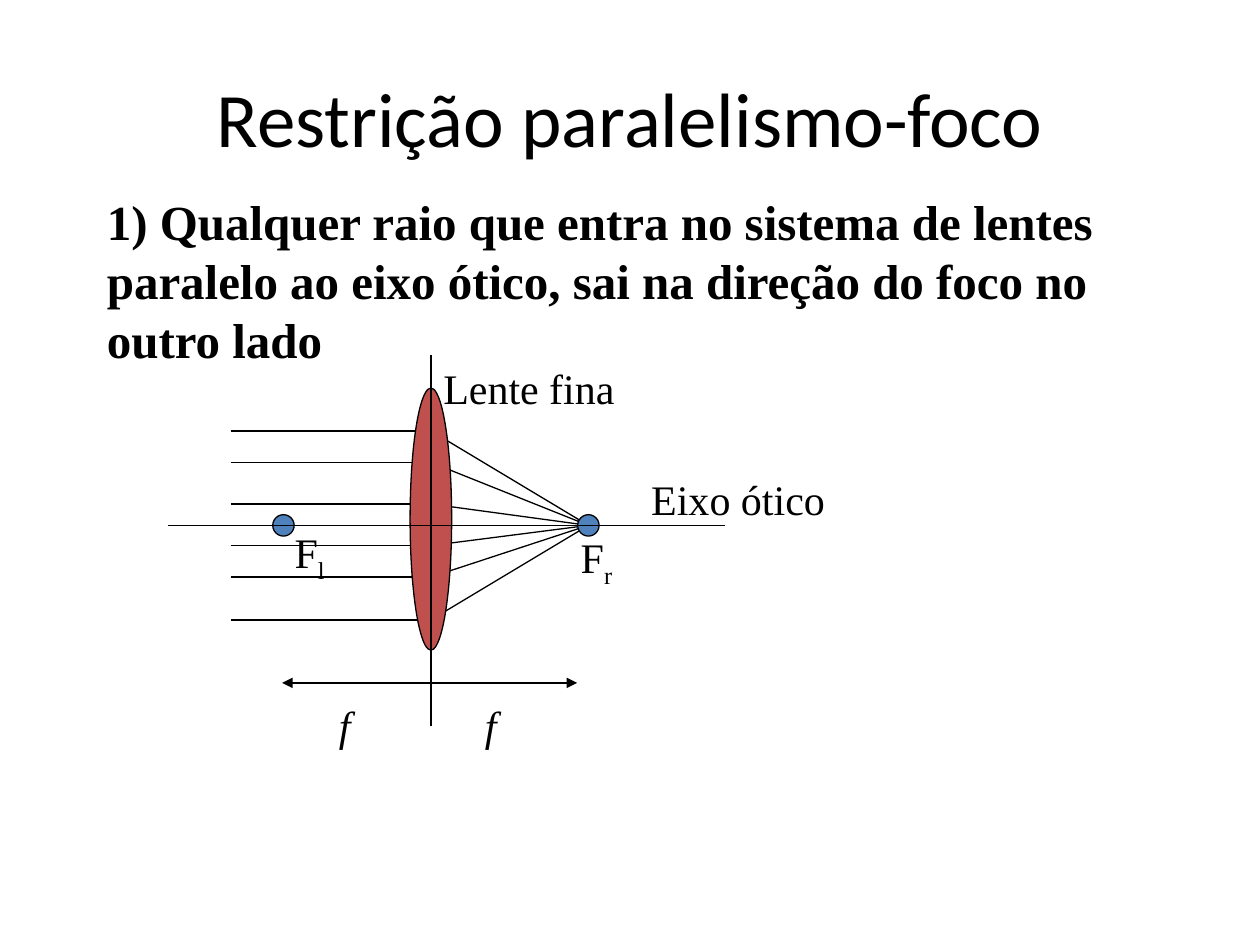
"""Build the slide on the parallel-ray and focus rule of a thin lens."""
from dataclasses import dataclass

from lxml.etree import SubElement
from pptx import Presentation
from pptx.dml.color import RGBColor as Rgb
from pptx.enum.shapes import MSO_CONNECTOR as Link, MSO_SHAPE as Kind
from pptx.enum.text import MSO_ANCHOR as Anchor, MSO_AUTO_SIZE as Fit, PP_ALIGN as Align
from pptx.oxml.ns import qn
from pptx.util import Inches, Pt

COLORS = {"ink": "000000", "focus": "4F81BD", "lens": "C0504D"}
SERIF = "Times New Roman"
AXIS, MID, FOCUS = 4.17, 3.42, 4.67
RAYS = (3.42, 3.67, 4, 4.33, 4.58, 4.92)


@dataclass
class Label:
    """Text with its box and font."""
    text: str
    left: float
    top: float
    width: float
    height: float = 0.5
    sub: str = ""
    size: int = 24
    face: str = SERIF
    bold: bool = False
    slant: bool = False
    wrap: bool = False


@dataclass
class Line:
    """Straight line between two points."""
    x1: float
    y1: float
    x2: float
    y2: float
    arrow: bool = False


@dataclass
class Oval:
    """Ellipse given by its centre and size."""
    x: float
    y: float
    width: float
    height: float
    color: str


def paint(name: str) -> Rgb:
    """Return the named colour."""
    return Rgb.from_string(COLORS[name])


def write(slide, item: Label):
    """Draw a label and return its text frame."""
    box = slide.shapes.add_textbox(
        Inches(item.left), Inches(item.top), Inches(item.width), Inches(item.height))
    frame = box.text_frame
    frame.text = item.text
    frame.word_wrap = item.wrap
    frame.auto_size = Fit.SHAPE_TO_FIT_TEXT
    par = frame.paragraphs[0]
    if item.sub:
        run = par.add_run()
        run.text = item.sub
        run.font._element.set("baseline", "-25000")
    for run in par.runs:
        font = run.font
        font.name, font.size = item.face, Pt(item.size)
        font.bold, font.italic = item.bold, item.slant
        font.color.rgb = paint("ink")
    return frame


def link(slide, item: Line) -> None:
    """Draw a line, with an arrowhead at its end if asked."""
    wire = slide.shapes.add_connector(
        Link.STRAIGHT, Inches(item.x1), Inches(item.y1), Inches(item.x2), Inches(item.y2))
    wire.line.color.rgb = paint("ink")
    wire.line.width = Pt(0.75)
    if item.arrow:
        SubElement(wire.line._get_or_add_ln(), qn("a:tailEnd"), type="triangle")
    SubElement(wire._element.spPr, qn("a:effectLst"))


def ring(slide, item: Oval) -> None:
    """Draw a filled ellipse."""
    shape = slide.shapes.add_shape(
        Kind.OVAL, Inches(item.x - item.width / 2), Inches(item.y - item.height / 2),
        Inches(item.width), Inches(item.height))
    shape.shadow.inherit = False
    shape.fill.solid()
    shape.fill.fore_color.rgb = paint(item.color)
    shape.line.color.rgb = paint("ink")
    shape.line.width = Pt(0.75)


def main() -> None:
    """Compose and save the slide."""
    deck = Presentation()
    deck.slide_width, deck.slide_height = Inches(10), Inches(7.5)
    slide = deck.slides.add_slide(deck.slide_layouts[6])

    title = write(slide, Label("Restrição paralelismo-foco", 0.5, 0.3, 9, 1.25,
                               size=44, face="Calibri", wrap=True))
    title.auto_size = Fit.NONE
    title.vertical_anchor = Anchor.MIDDLE
    title.paragraphs[0].alignment = Align.CENTER

    write(slide, Label("F", 2.24, 4.13, 0.44, 0.56, sub="l"))
    write(slide, Label("F", 4.51, 4.17, 0.45, 0.56, sub="r"))

    for y in RAYS:
        link(slide, Line(1.83, y, MID, y))
        link(slide, Line(MID, y, FOCUS, AXIS))
    for x in (FOCUS, 2.25):
        ring(slide, Oval(x, AXIS, 0.17, 0.17, "focus"))

    write(slide, Label("Lente fina", 3.42, 2.83, 1.56))
    write(slide, Label("Eixo ótico", 5.07, 3.71, 1.58))
    for end, left in ((2.24, 2.59), (4.58, 3.75)):
        link(slide, Line(MID, 5.42, end, 5.42, arrow=True))
        write(slide, Label("f", left, 5.5, 0.29, slant=True))

    ring(slide, Oval(MID, 4.12, 0.33, 2.08, "lens"))
    link(slide, Line(MID, 5.76, MID, 2.82))
    link(slide, Line(1.33, AXIS, 5.75, AXIS))

    write(slide, Label(
        "1) Qualquer raio que entra no sistema de lentes paralelo ao eixo ótico, "
        "sai na direção do foco no outro lado",
        0.75, 1.47, 8.9, 1.5, size=28, bold=True, wrap=True))
    deck.save("out.pptx")


if __name__ == "__main__":
    main()
